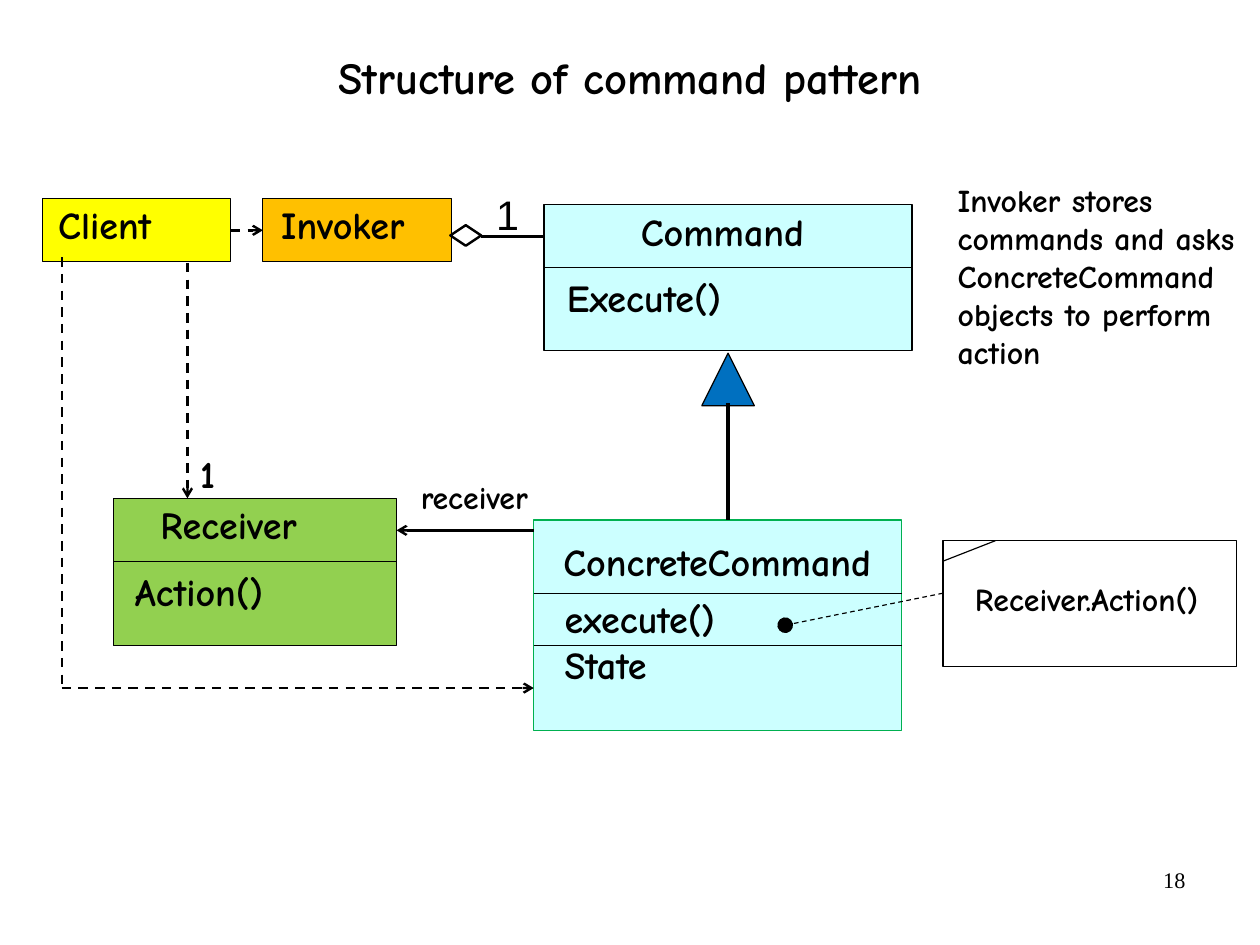
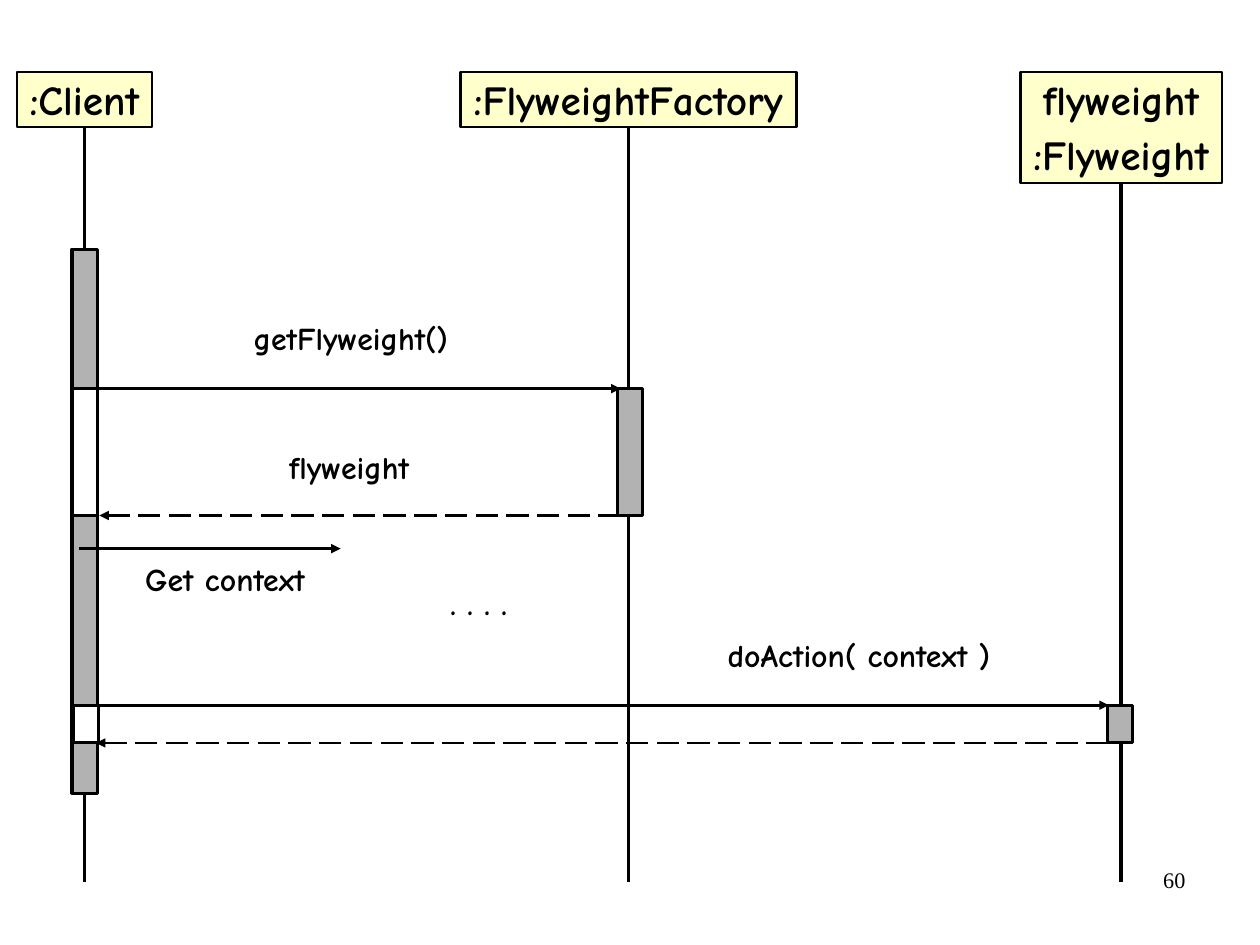
"""Build the command pattern and flyweight sequence slides."""
from lxml.etree import SubElement as Sub
from pptx import Presentation
from pptx.dml.color import RGBColor as Rgb
from pptx.enum.dml import MSO_LINE as Dash
from pptx.enum.shapes import MSO_CONNECTOR as Conn, MSO_SHAPE as Kind
from pptx.enum.text import MSO_ANCHOR as Anchor, MSO_AUTO_SIZE as Auto, PP_ALIGN as Align
from pptx.oxml.ns import qn
from pptx.util import Inches, Pt

HUES = {
    "ink": "000000", "white": "FFFFFF", "aqua": "CCFFFF", "green": "92D050",
    "edge": "00B050", "blue": "0070C0", "orange": "FFC000", "yellow": "FFFF00",
    "cream": "FFFFCC", "grey": "B2B2B2",
}
FONT = "Comic Neue"
PAD = (0.11, 0.06, 0.11, 0.06)
WIDE = (0.1, 0.05, 0.1, 0.05)


def hue(name):
    return Rgb.from_string(HUES[name])


def write(shape, text, size=24, align=Align.LEFT, pad=PAD, wrap=False, grow=True,
          anchor=Anchor.TOP, font=FONT, bold=True, space=None, gap=0):
    frame = shape.text_frame
    frame.text = text
    frame.word_wrap = wrap
    frame.auto_size = Auto.SHAPE_TO_FIT_TEXT if grow else Auto.NONE
    frame.vertical_anchor = anchor
    frame.margin_left, frame.margin_top, frame.margin_right, frame.margin_bottom = map(Inches, pad)
    for row, para in enumerate(frame.paragraphs):
        para.alignment = align
        if space:
            para.line_spacing = space
        if row and gap:
            para.space_before = Pt(gap)
        for run in para.runs:
            run.font.name = font
            run.font.size = Pt(size)
            run.font.bold = bold
            run.font.color.rgb = hue("ink")


def label(slide, at, text, **style):
    write(slide.shapes.add_textbox(*map(Inches, at)), text, **style)


def middle(slide, at, text, size=24):
    label(slide, at, text, size=size, align=Align.CENTER, anchor=Anchor.MIDDLE, grow=False)


def box(slide, at, fill=None, edge="ink", width=0.75, kind=Kind.RECTANGLE):
    shape = slide.shapes.add_shape(kind, *map(Inches, at))
    shape.shadow.inherit = False
    if fill:
        shape.fill.solid()
        shape.fill.fore_color.rgb = hue(fill)
    else:
        shape.fill.background()
    if edge:
        shape.line.color.rgb = hue(edge)
        shape.line.width = Pt(width)
    else:
        shape.line.fill.background()
    return shape


def line(slide, start, end, width=0.75, dash=None, tip=None, size="med"):
    link = slide.shapes.add_connector(Conn.STRAIGHT, *map(Inches, start + end))
    link.line.color.rgb = hue("ink")
    link.line.width = Pt(width)
    if dash:
        link.line.dash_style = dash
    props = link.element.spPr
    if tip:
        Sub(props.find(qn("a:ln")), qn("a:tailEnd"), type=tip, w=size, len=size)
    Sub(props, qn("a:effectLst"))
    return link


def page(deck, number):
    slide = deck.slides.add_slide(deck.slide_layouts[6])
    slide.background.fill.solid()
    slide.background.fill.fore_color.rgb = hue("white")
    label(slide, (7.9, 7.53, 2.57, 0.57), number, size=14, align=Align.RIGHT, pad=WIDE,
          wrap=True, grow=False, font="Times New Roman", bold=False)
    return slide


def command(deck):
    slide = page(deck, "18")
    label(slide, (0.81, 0.02, 9.4, 1.37), "Structure of command pattern", size=28,
          align=Align.CENTER, pad=(0, 0, 0, 0), wrap=True, grow=False,
          anchor=Anchor.MIDDLE, space=0.88)

    box(slide, (4.76, 1.79, 3.22, 1.28), "aqua")
    box(slide, (0.99, 4.36, 2.48, 1.29), "green")
    box(slide, (4.67, 4.55, 3.22, 1.84), "aqua", "edge")
    box(slide, (8.25, 4.73, 2.57, 1.1))
    client = box(slide, (0.37, 1.74, 1.65, 0.55), "yellow")
    caller = box(slide, (2.3, 1.74, 1.65, 0.55), "orange")
    box(slide, (6.14, 3.09, 0.46, 0.46), "blue", kind=Kind.ISOSCELES_TRIANGLE)
    box(slide, (3.94, 1.97, 0.27, 0.18), width=1.5, kind=Kind.DIAMOND)

    for left, right, top in ((4.76, 7.98, 2.34), (4.67, 7.89, 5.19),
                             (4.67, 7.89, 5.65), (0.99, 3.47, 4.91)):
        line(slide, (left, top), (right, top))
    line(slide, (8.71, 4.73), (8.25, 4.91))
    line(slide, (8.25, 5.19), (6.87, 5.47), dash=Dash.DASH, tip="oval", size="lg")
    line(slide, (6.37, 3.53), (6.37, 4.55), 2.25)
    line(slide, (4.76, 2.07), (4.21, 2.07), 2.25)
    line(slide, (4.67, 4.64), (3.47, 4.64), 1.5, tip="arrow")
    line(slide, (0.54, 2.25), (0.54, 6.02), 1.5, Dash.DASH)
    line(slide, (0.54, 6.02), (4.67, 6.02), 1.5, Dash.DASH, "arrow")
    line(slide, (1.64, 2.3), (1.64, 4.36), 1.5, Dash.DASH, "arrow")
    call = line(slide, (2.02, 2.02), (2.3, 2.02), 1.5, Dash.DASH, "arrow")
    call.begin_connect(client, 3)
    call.end_connect(caller, 1)

    middle(slide, (5.31, 1.79, 2.02, 0.46), "Command")
    middle(slide, (5.31, 4.55, 1.93, 0.73), "ConcreteCommand")
    middle(slide, (0.99, 4.36, 2.02, 0.46), "Receiver")
    middle(slide, (3.14, 4.12, 2.02, 0.46), "receiver", 20)
    label(slide, (0.4, 1.7, 1.06, 0.51), "Client")
    label(slide, (2.35, 1.7, 1.33, 0.51), "Invoker")
    label(slide, (4.85, 2.34, 1.61, 0.51), "Execute()")
    label(slide, (4.83, 5.15, 1.57, 0.91), "execute()\nState")
    label(slide, (1.07, 4.91, 1.38, 0.51), "Action()")
    label(slide, (1.64, 3.88, 0.35, 0.51), "1")
    label(slide, (4.23, 1.6, 0.42, 0.54), "1", size=26, font="Arial", bold=False)
    label(slide, (8.42, 5.01, 2.23, 0.44), "Receiver.Action()", size=20)
    label(slide, (8.28, 1.53, 2.76, 1.77),
          "Invoker stores commands and asks ConcreteCommand objects to perform action",
          size=20, pad=WIDE, wrap=True)


def actor(slide, left, width, height, text):
    head = box(slide, (left, 0.63, width, height), "cream", width=1.5)
    write(head, text, size=26, align=Align.CENTER, pad=(0.1, 0.17, 0.1, 0.06),
          space=0.6, gap=16.2)
    mid = left + width / 2
    life = line(slide, (mid, 0.63 + height), (mid, 7.72), 2.25)
    life.begin_connect(head, 2)


def flyweight(deck):
    slide = page(deck, "60")
    actor(slide, 0.15, 1.18, 0.48, ":Client")
    actor(slide, 4.03, 2.94, 0.48, ":FlyweightFactory")
    actor(slide, 8.93, 1.76, 0.97, "flyweight\n:Flyweight")

    line(slide, (0.8, 3.4), (5.43, 3.4), 1.75, tip="triangle")
    line(slide, (0.84, 6.17), (9.7, 6.17), 1.75, tip="triangle")
    for left, top, height, fill in (
            (0.63, 2.18, 4.76, "grey"), (5.4, 3.4, 1.11, "grey"), (9.69, 6.17, 0.33, "grey"),
            (0.63, 3.4, 1.11, "white"), (0.64, 6.17, 0.33, "white")):
        box(slide, (left, top, 0.22, height), fill, width=2)
    line(slide, (5.43, 4.51), (0.87, 4.51), 1.75, Dash.LONG_DASH, "triangle")
    line(slide, (9.7, 6.5), (0.84, 6.5), 1.75, Dash.LONG_DASH, "triangle")
    line(slide, (0.69, 4.8), (2.98, 4.8), 1.75, tip="triangle")

    for left, top, width, text in ((2.09, 2.73, 1.96, "getFlyweight()"),
                                   (2.41, 3.86, 1.29, "flyweight"),
                                   (6.24, 5.5, 2.55, "doAction( context )")):
        back = box(slide, (left, top, width, 0.44), "white", None)
        write(back, text, size=20, align=Align.CENTER)
    label(slide, (1.16, 4.84, 1.65, 0.44), "Get context", size=20)
    label(slide, (3.83, 5.05, 0.74, 0.44), ". . . .", size=20)


def main():
    deck = Presentation()
    deck.slide_width, deck.slide_height = Inches(28 / 2.54), Inches(21 / 2.54)
    command(deck)
    flyweight(deck)
    deck.save("out.pptx")


if __name__ == "__main__":
    main()
